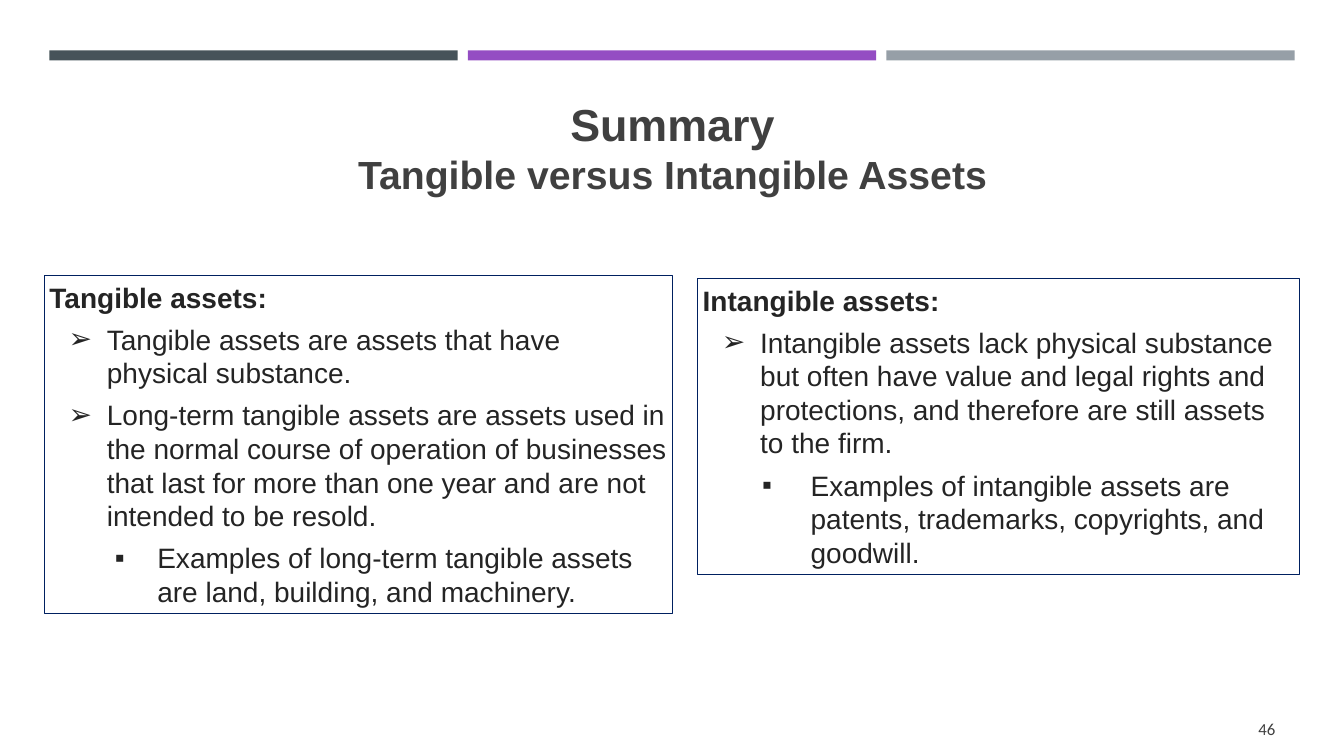
from dataclasses import dataclass

from lxml import etree
from pptx import Presentation
from pptx.dml.color import RGBColor
from pptx.enum import shapes, text
from pptx.oxml.ns import qn
from pptx.util import Emu, Pt

PX = 9144  # 100 px to the inch


@dataclass(frozen=True)
class Theme:
    bars: tuple = ("465359", "944DC3", "969FA7")
    heading: str = "404040"
    body: str = "242424"
    border: str = "002060"
    font: str = "Arial"
    number_font: str = "Calibri"
    title_size: int = 32
    subtitle_size: int = 28
    body_size: int = 20
    number_size: int = 12


THEME = Theme()

TANGIBLE = [
    (0, "Tangible assets:"),
    (1, "Tangible assets are assets that have physical substance."),
    (1, "Long-term tangible assets are assets used in the normal course of operation "
        "of businesses that last for more than one year and are not intended to be resold."),
    (2, "Examples of long-term tangible assets are land, building, and machinery."),
]
INTANGIBLE = [
    (0, "Intangible assets:"),
    (1, "Intangible assets lack physical substance but often have value and legal rights "
        "and protections, and therefore are still assets to the firm."),
    (2, "Examples of intangible assets are patents, trademarks, copyrights, and goodwill."),
]


def px(*lengths):
    return [Emu(length * PX) for length in lengths]


def style(font, size, color, bold=False, name=THEME.font):
    font.name, font.size, font.bold = name, Pt(size), bold
    font.color.rgb = RGBColor.from_string(color)


def add_rectangle(slide, box):
    rectangle = slide.shapes.add_shape(shapes.MSO_SHAPE.RECTANGLE, *px(*box))
    rectangle.shadow.inherit = False
    return rectangle


def set_frame(frame, anchor, wrap=True):
    frame.word_wrap = wrap
    frame.vertical_anchor = anchor
    inset, = px(5)
    frame.margin_left = frame.margin_right = inset
    frame.margin_top = frame.margin_bottom = inset


def add_bars(slide, left=49, top=50, width=405, height=10, pitch=415):
    for column, color in enumerate(THEME.bars):
        bar = add_rectangle(slide, (left + column * pitch, top, width, height))
        bar.fill.solid()
        bar.fill.fore_color.rgb = RGBColor.from_string(color)
        bar.line.fill.background()


def add_title(slide, box, title, subtitle):
    frame = slide.shapes.add_textbox(*px(*box)).text_frame
    set_frame(frame, text.MSO_ANCHOR.MIDDLE)
    heading = frame.paragraphs[0]
    heading.alignment = text.PP_ALIGN.CENTER
    for words, size in ((title, THEME.title_size), (subtitle, THEME.subtitle_size)):
        if heading.runs:
            heading.add_line_break()
        run = heading.add_run()
        run.text = words
        style(run.font, size, THEME.heading, bold=True)


def set_bullet(paragraph, symbol, margin, hanging):
    properties = paragraph._p.get_or_add_pPr()
    properties.set("marL", str(margin * PX))
    properties.set("indent", str(-hanging * PX))
    etree.SubElement(properties, qn("a:buFont"), typeface=THEME.font)
    etree.SubElement(properties, qn("a:buChar"), char=symbol)


def add_panel(slide, box, items, example_hanging):
    """Outlined box with a bold heading, arrow points and square examples."""
    bullets = {1: ("➢", 57, 38), 2: ("▪", 107, example_hanging)}
    panel = add_rectangle(slide, box)
    panel.fill.background()
    panel.line.color.rgb = RGBColor.from_string(THEME.border)
    panel.line.width = Pt(0.75)
    frame = panel.text_frame
    set_frame(frame, text.MSO_ANCHOR.TOP)
    for index, (level, words) in enumerate(items):
        item = frame.add_paragraph() if index else frame.paragraphs[0]
        item.text = words
        item.level = level
        item.alignment = text.PP_ALIGN.LEFT
        item.space_before = Pt(6)
        if level in bullets:
            set_bullet(item, *bullets[level])
        style(item.font, THEME.body_size, THEME.body, bold=level == 0)


def add_page_number(slide, box, number):
    frame = slide.shapes.add_textbox(*px(*box)).text_frame
    set_frame(frame, text.MSO_ANCHOR.MIDDLE, wrap=False)
    page = frame.paragraphs[0]
    page.text = number
    page.alignment = text.PP_ALIGN.RIGHT
    style(page.font, THEME.number_size, THEME.heading, name=THEME.number_font)


def main():
    deck = Presentation()
    deck.slide_width, deck.slide_height = px(1333, 750)
    slide = deck.slides.add_slide(deck.slide_layouts[6])
    add_bars(slide)
    add_title(slide, (64, 81, 1206, 130), "Summary", "Tangible versus Intangible Assets")
    add_page_number(slide, (1240, 708, 30, 29), "46")
    add_panel(slide, (44, 273, 623, 336), TANGIBLE, example_hanging=42)
    add_panel(slide, (692, 276, 597, 294), INTANGIBLE, example_hanging=48)
    deck.save("out.pptx")


if __name__ == "__main__":
    main()
